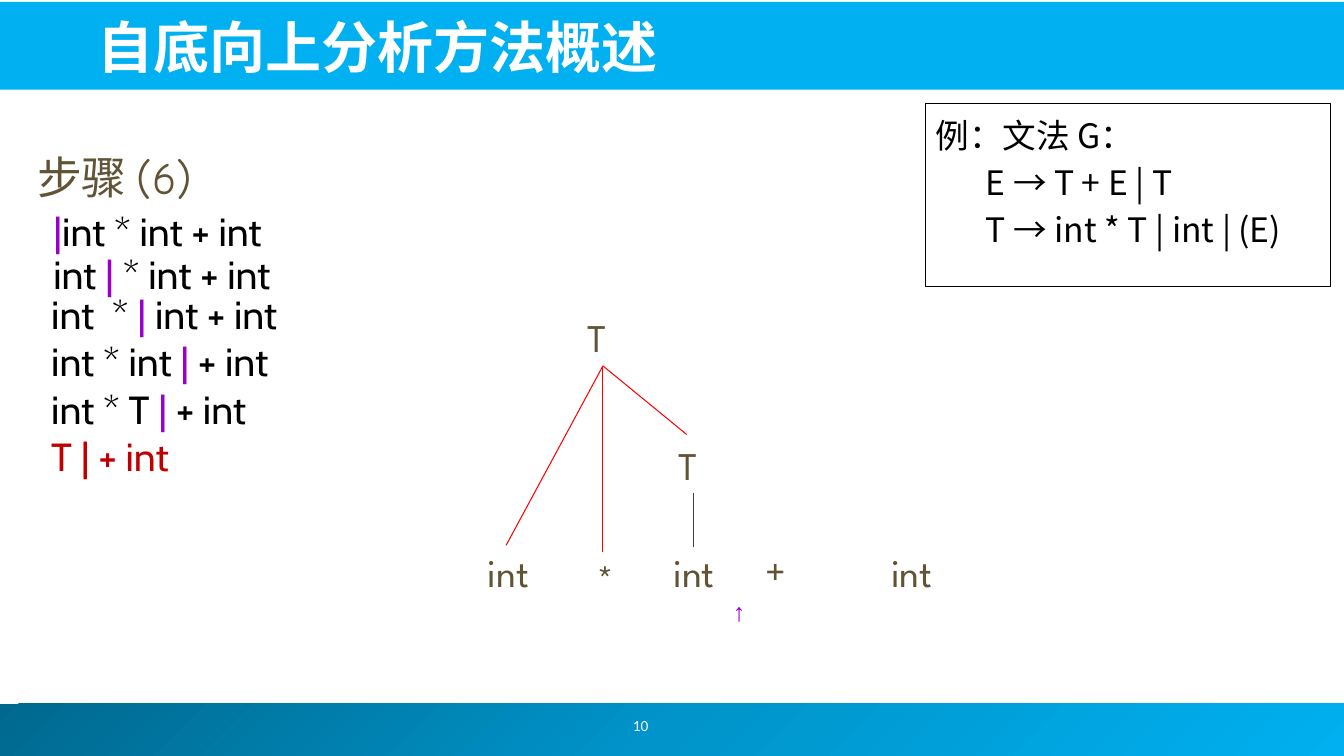
import copy
from dataclasses import dataclass

import pptx
import pptx.dml.color
import pptx.enum.shapes
import pptx.enum.text
import pptx.oxml
import pptx.oxml.ns
import pptx.util

Inches = pptx.util.Inches
Pt = pptx.util.Pt
ALIGN = pptx.enum.text.PP_ALIGN
ANCHOR = pptx.enum.text.MSO_ANCHOR
RECTANGLE = pptx.enum.shapes.MSO_SHAPE.RECTANGLE


@dataclass(frozen=True)
class Theme:
    sky: str = "00B0F0"
    ocean: str = "0094CA"
    deep: str = "00688E"
    white: str = "FFFFFF"
    black: str = "000000"
    olive: str = "605435"
    purple: str = "9900CC"
    crimson: str = "C00000"
    red: str = "FF0000"
    stem: str = "404040"
    cjk: str = "Noto Sans CJK JP"
    step: str = "Cabin"
    heading: str = "Comic Neue"
    node: str = "League Spartan"
    pointer: str = "Times New Roman"
    number: str = "Calibri"
    title_size: int = 40
    heading_size: int = 32
    body_size: int = 28
    grammar_size: int = 24
    pointer_size: int = 18
    number_size: int = 11
    line_width: float = 0.75


THEME = Theme()


def rgb(value):
    return pptx.dml.color.RGBColor.from_string(value)


def style_run(run, font, size, color, bold=False):
    run.font.name = font
    run.font.size = Pt(size)
    run.font.bold = bold
    run.font.color.rgb = rgb(color)
    east_asian = pptx.oxml.parse_xml(
        f'<a:ea {pptx.oxml.ns.nsdecls("a")} typeface="{THEME.cjk}"/>')
    run.font._element.find(pptx.oxml.ns.qn("a:latin")).addnext(east_asian)


def add_text(slide, box, parts, font, size, anchor=ANCHOR.TOP, align=ALIGN.LEFT, bold=False):
    frame = slide.shapes.add_textbox(*map(Inches, box)).text_frame
    frame.word_wrap = True
    frame.vertical_anchor = anchor
    paragraph = frame.paragraphs[0]
    paragraph.alignment = align
    for words, color in parts:
        run = paragraph.add_run()
        run.text = words
        style_run(run, font, size, color, bold)


def add_band(slide, box):
    band = slide.shapes.add_shape(RECTANGLE, *map(Inches, box))
    band.shadow.inherit = False
    band.line.fill.background()
    return band


def add_branch(slide, start, end, color):
    branch = slide.shapes.add_connector(
        pptx.enum.shapes.MSO_CONNECTOR.STRAIGHT, *map(Inches, (*start, *end)))
    branch.line.color.rgb = rgb(color)
    branch.line.width = Pt(THEME.line_width)
    branch._element.spPr.append(
        pptx.oxml.parse_xml(f'<a:effectLst {pptx.oxml.ns.nsdecls("a")}/>'))


def add_header(slide, box):
    left, top, width, height = box
    band = add_band(slide, box)
    band.fill.solid()
    band.fill.fore_color.rgb = rgb(THEME.sky)
    add_text(slide, (left + 0.89, top + 0.03, width - 1.3, height - 0.08),
             [("自底向上分析方法概述", THEME.white)],
             THEME.cjk, THEME.title_size, ANCHOR.BOTTOM, bold=True)


def add_footer(slide, box):
    left, top, width, height = box
    fill = add_band(slide, box).fill
    fill.gradient()
    fill.gradient_angle = 315
    first = fill.gradient_stops[0]._gs
    first.addnext(copy.deepcopy(first))
    stops = ((0, THEME.deep), (0.5, THEME.ocean), (1, THEME.sky))
    for stop, (position, color) in zip(fill.gradient_stops, stops):
        stop.position = position
        stop.color.rgb = rgb(color)
    add_text(slide, (left + 4.96, top - 0.03, 2.89, 0.5), [("10", THEME.white)],
             THEME.number, THEME.number_size, ANCHOR.MIDDLE, ALIGN.CENTER)


def add_steps(slide, box):
    left, top, width, height = box
    add_text(slide, (left, top, 2.21, 1), [("步骤 (6)", THEME.olive)],
             THEME.heading, THEME.heading_size, ANCHOR.MIDDLE)
    steps = (
        (0.16, 0.76, "", "|", "int * int + int"),
        (0.16, 1.18, "int ", "| ", "* int + int"),
        (0.14, 1.58, "int  * ", "| ", "int + int"),
        (0.14, 2.05, "int * int", " | ", "+ int"),
        (0.14, 2.52, "int * T ", "| ", "+ int"),
    )
    for dx, dy, shifted, marker, remaining in steps:
        parts = [(shifted, THEME.black), (marker, THEME.purple), (remaining, THEME.black)]
        add_text(slide, (left + dx, top + dy, width - dx, 0.5),
                 [part for part in parts if part[0]], THEME.step, THEME.body_size)
    add_text(slide, (left + 0.14, top + 2.99, width - 0.14, 0.5),
             [("T | + int", THEME.crimson)], THEME.step, THEME.body_size)


def add_parse_tree(slide, box):
    left, top, width, height = box
    nodes = (
        ("T", 0.99, 0, 0.5), ("T", 1.89, 1.27, 0.5),
        ("int", 0, 2.33, 0.75), ("*", 1.09, 2.39, 0.5), ("int", 1.84, 2.33, 0.75),
        ("+", 2.75, 2.31, 0.5), ("int", 4, 2.33, 0.75),
    )
    for symbol, dx, dy, node_width in nodes:
        add_text(slide, (left + dx, top + dy, node_width, 0.57),
                 [(symbol, THEME.olive)], THEME.node, THEME.body_size)
    add_text(slide, (left + 2.43, top + 2.81, 0.58, 0.5), [("↑", THEME.purple)],
             THEME.pointer, THEME.pointer_size)
    root = (left + 1.24, top + 0.57)
    for dx, dy in ((0.28, 2.35), (1.24, 2.42), (2.07, 1.25)):
        add_branch(slide, root, (left + dx, top + dy), THEME.red)
    add_branch(slide, (left + 2.14, top + 2.37), (left + 2.14, top + 1.83), THEME.stem)


def add_grammar(slide, box):
    panel = slide.shapes.add_shape(RECTANGLE, *map(Inches, box))
    panel.shadow.inherit = False
    panel.fill.background()
    panel.line.color.rgb = rgb(THEME.black)
    panel.line.width = Pt(THEME.line_width)
    frame = panel.text_frame
    frame.word_wrap = True
    frame.vertical_anchor = ANCHOR.TOP
    frame.text = "例：文法 G：\nE → T + E | T\nT → int * T | int | (E)"
    for index, paragraph in enumerate(frame.paragraphs):
        paragraph.alignment = ALIGN.LEFT
        paragraph.line_spacing = Pt(33.5)
        if index:
            paragraph.level = 1
        margin, hanging = (0.81, 0.31) if index else (0.38, 0.38)
        properties = paragraph._p.get_or_add_pPr()
        properties.set("marL", str(Inches(margin)))
        properties.set("indent", str(-Inches(hanging)))
        style_run(paragraph.runs[0], THEME.cjk, THEME.grammar_size, THEME.black)


def main():
    presentation = pptx.Presentation()
    presentation.slide_width = Inches(13.33)
    presentation.slide_height = Inches(7.5)
    slide = presentation.slides.add_slide(presentation.slide_layouts[6])
    add_footer(slide, (-0.05, 6.98, 13.39, 0.52))
    add_header(slide, (-0.02, 0.02, 13.36, 0.87))
    add_steps(slide, (0.27, 1.25, 3.41, 3.49))
    add_parse_tree(slide, (4.74, 3.06, 4.75, 3.31))
    add_grammar(slide, (9.18, 1.03, 4.02, 1.81))
    presentation.save("out.pptx")


if __name__ == "__main__":
    main()
